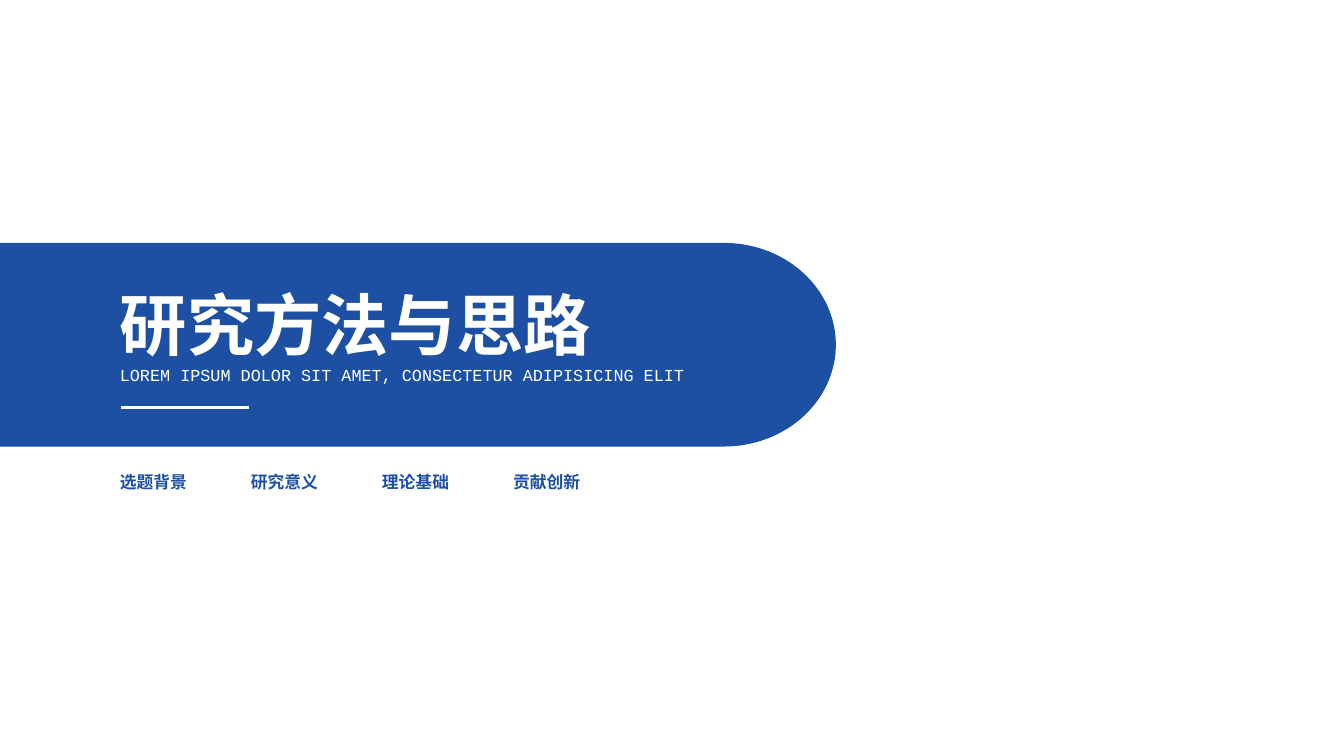
import math
from dataclasses import dataclass

import pptx
import pptx.dml.color
import pptx.enum.shapes
import pptx.enum.text
import pptx.oxml.ns
import pptx.util
from lxml import etree
from pptx.util import Inches

# Content
HEADING = "研究方法与思路"
SUBHEADING = "LOREM IPSUM DOLOR SIT AMET, CONSECTETUR ADIPISICING ELIT"
TOPICS = ["选题背景", "研究意义", "理论基础", "贡献创新"]


@dataclass(frozen=True)
class Theme:
    blue = pptx.dml.color.RGBColor(0x1D, 0x50, 0xA2)
    white = pptx.dml.color.RGBColor(0xFF, 0xFF, 0xFF)
    heading_font = "Noto Sans CJK SC"
    subheading_font = "Courier New"
    topic_font = "Arial"
    heading_size = pptx.util.Pt(48)
    small_size = pptx.util.Pt(12)
    rule_width = pptx.util.Pt(2.25)


# Layout, in inches
TEXT_LEFT = 1.09
BAND_TOP, BAND_HEIGHT = 2.41, 2.02
BAND_STRAIGHT, BAND_RIGHT = 7.18, 8.29
TOPIC_TOP, TOPIC_PITCH = 4.63, 1.3
ARC_STEPS = 90


def drawing_child(parent, tag, **attributes):
    return etree.SubElement(parent, pptx.oxml.ns.qn(tag), **attributes)


def write(box, text, font_name, size, color, bold=False):
    frame = box.text_frame
    frame.text = text
    font = frame.paragraphs[0].font
    font.name, font.size, font.bold = font_name, size, bold
    font.color.rgb = color
    return frame


deck = pptx.Presentation()
deck.slide_width, deck.slide_height = Inches(13.33), Inches(7.5)
slide = deck.slides.add_slide(deck.slide_layouts[5])
shapes = slide.shapes

# Blue band with a half-elliptical right end
radius_x, radius_y = BAND_RIGHT - BAND_STRAIGHT, BAND_HEIGHT / 2
angles = [math.pi * (step / ARC_STEPS - 0.5) for step in range(ARC_STEPS + 1)]
arc = [(Inches(BAND_STRAIGHT + radius_x * math.cos(angle)),
        Inches(BAND_TOP + radius_y * (1 + math.sin(angle)))) for angle in angles]
outline = shapes.build_freeform(0, Inches(BAND_TOP))
outline.add_line_segments(arc + [(0, Inches(BAND_TOP + BAND_HEIGHT))], close=True)
band = outline.convert_to_shape()
band.shadow.inherit = False
band.fill.solid()
band.fill.fore_color.rgb = Theme.blue
band.line.fill.background()

# Heading, in front of the band
heading = shapes.title
heading.element.addprevious(band.element)
heading.left, heading.top = Inches(TEXT_LEFT), Inches(2.82)
heading.width, heading.height = Inches(5.42), Inches(0.78)
heading_frame = write(heading, HEADING, Theme.heading_font, Theme.heading_size,
                      Theme.white, bold=True)
heading_frame.auto_size = pptx.enum.text.MSO_AUTO_SIZE.NONE
heading_frame.vertical_anchor = pptx.enum.text.MSO_ANCHOR.MIDDLE
heading_line = heading_frame.paragraphs[0]
heading_line.alignment = pptx.enum.text.PP_ALIGN.LEFT
heading_defaults = heading_line._p.pPr.find(pptx.oxml.ns.qn("a:defRPr"))
drawing_child(heading_defaults, "a:ea", typeface=Theme.heading_font)

# Subheading
subheading = shapes.add_textbox(Inches(TEXT_LEFT), Inches(3.57), Inches(5.96), Inches(0.3))
subheading_frame = write(subheading, SUBHEADING, Theme.subheading_font,
                         Theme.small_size, Theme.white)
subheading_frame.word_wrap = True
subheading_frame.auto_size = pptx.enum.text.MSO_AUTO_SIZE.SHAPE_TO_FIT_TEXT

# Short white rule
rule = shapes.add_connector(pptx.enum.shapes.MSO_CONNECTOR.STRAIGHT,
                            Inches(1.2), Inches(4.04), Inches(2.47), Inches(4.04))
rule.line.color.rgb = Theme.white
rule.line.width = Theme.rule_width
drawing_child(rule.element.spPr, "a:effectLst")

# Bulleted topics in a row
for position, topic in enumerate(TOPICS):
    entry = shapes.add_textbox(Inches(TEXT_LEFT + position * TOPIC_PITCH),
                               Inches(TOPIC_TOP), Inches(1.06), Inches(0.3))
    paragraph = entry.text_frame.paragraphs[0]
    paragraph.alignment = pptx.enum.text.PP_ALIGN.CENTER
    properties = paragraph._p.get_or_add_pPr()
    properties.set("marL", str(Inches(0.19)))
    properties.set("indent", str(Inches(-0.19)))
    drawing_child(properties, "a:buFont", typeface=Theme.topic_font)
    drawing_child(properties, "a:buChar", char="●")
    entry_frame = write(entry, topic, Theme.topic_font, Theme.small_size,
                        Theme.blue, bold=True)
    entry_frame.word_wrap = False
    entry_frame.auto_size = pptx.enum.text.MSO_AUTO_SIZE.SHAPE_TO_FIT_TEXT

deck.save("out.pptx")
